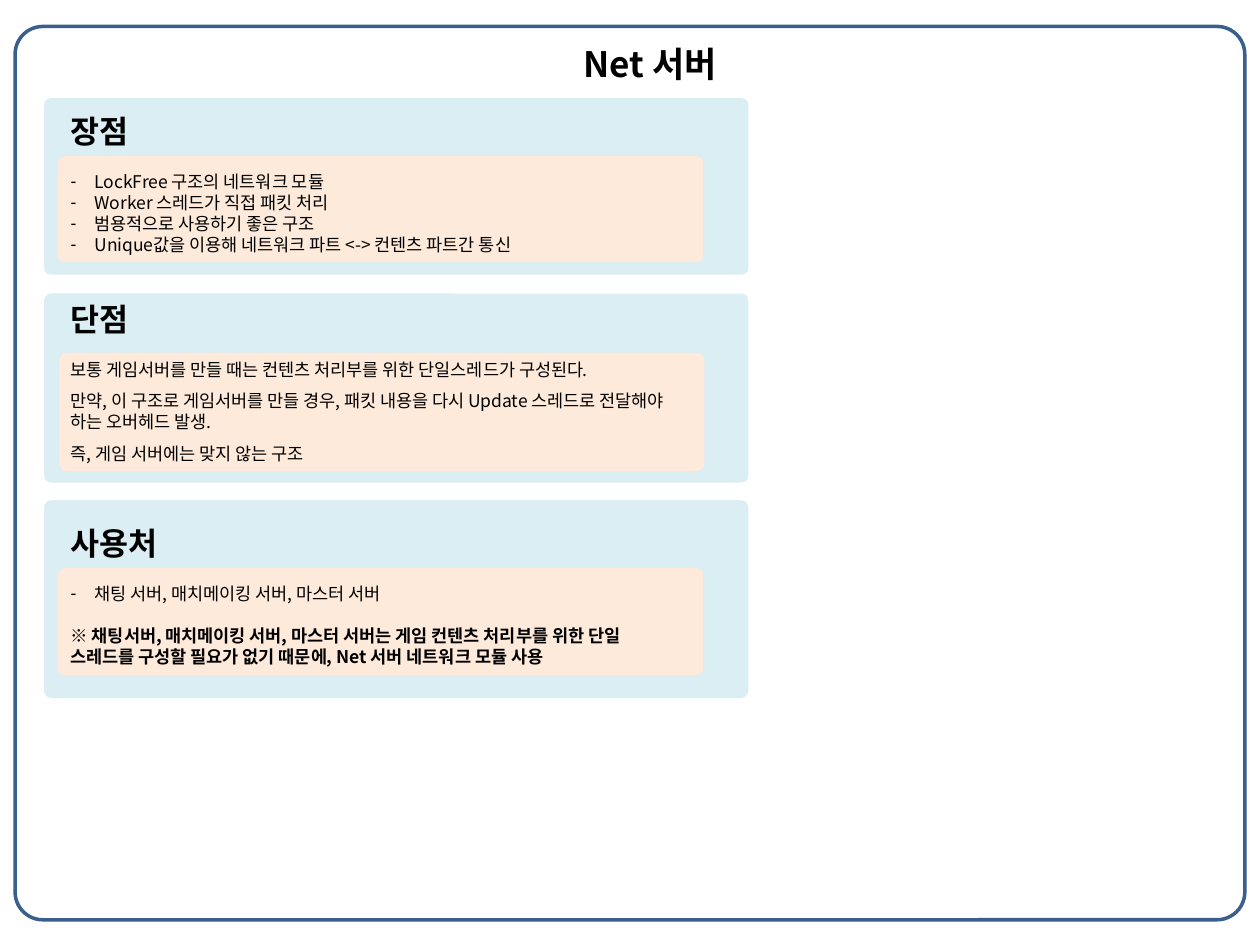
from lxml import etree
from pptx import Presentation
from pptx.dml.color import RGBColor
from pptx.enum.shapes import MSO_SHAPE
from pptx.enum.text import MSO_ANCHOR, MSO_AUTO_SIZE, PP_ALIGN
from pptx.oxml.ns import qn
from pptx.util import Inches, Pt

ROUNDED = MSO_SHAPE.ROUNDED_RECTANGLE
TOP = MSO_ANCHOR.TOP
LEFT = PP_ALIGN.LEFT
NO_AUTOFIT = MSO_AUTO_SIZE.NONE

FONT = "Noto Sans CJK KR"
BLACK = RGBColor(0x00, 0x00, 0x00)
PALE_BLUE = RGBColor(0xDB, 0xEE, 0xF4)
PALE_ORANGE = RGBColor(0xFD, 0xEA, 0xDA)
FRAME_BLUE = RGBColor(0x3A, 0x5F, 0x8C)

LINE_HEIGHT = 1.2
HEADING_SIZE = 18
BODY_SIZE = 10
BULLET_INDENT = Inches(0.19)
COMPARISON_LAYOUT = 4

# Each line: text, space before in points, bulleted, bold
SECTIONS = [
    {
        "heading": "장점",
        "card": (0.35, 0.78, 5.59, 1.4),
        "panel": (0.46, 1.24, 5.12, 0.84),
        "text": (0.46, 0.84, 5.01, 1.25),
        "lines": [
            ("LockFree 구조의 네트워크 모듈", 12, True, False),
            ("Worker 스레드가 직접 패킷 처리", 0, True, False),
            ("범용적으로 사용하기 좋은 구조", 0, True, False),
            ("Unique값을 이용해 네트워크 파트 <-> 컨텐츠 파트간 통신", 0, True, False),
        ],
    },
    {
        "heading": "단점",
        "card": (0.35, 2.33, 5.59, 1.5),
        "panel": (0.47, 2.8, 5.12, 0.94),
        "text": (0.46, 2.33, 5.01, 1.58),
        "lines": [
            ("보통 게임서버를 만들 때는 컨텐츠 처리부를 위한 단일스레드가 구성된다.",
             12, False, False),
            ("만약, 이 구조로 게임서버를 만들 경우, 패킷 내용을 다시 Update 스레드로 "
             "전달해야 하는 오버헤드 발생.", 6, False, False),
            ("즉, 게임 서버에는 맞지 않는 구조", 6, False, False),
        ],
    },
    {
        "heading": "사용처",
        "card": (0.35, 3.97, 5.59, 1.57),
        "panel": (0.46, 4.51, 5.12, 0.85),
        "text": (0.46, 4.11, 5.01, 1.25),
        "lines": [
            ("채팅 서버, 매치메이킹 서버, 마스터 서버", 12, True, False),
            ("※ 채팅서버, 매치메이킹 서버, 마스터 서버는 게임 컨텐츠 처리부를 위한 단일 "
             "스레드를 구성할 필요가 없기 때문에, Net 서버 네트워크 모듈 사용",
             12, False, True),
        ],
    },
]


def add_rounded_box(slide, box, corner, fill=None, line=None):
    shape = slide.shapes.add_shape(ROUNDED, *map(Inches, box))
    shape.shadow.inherit = False
    shape.adjustments[0] = corner
    if fill is None:
        shape.fill.background()
    else:
        shape.fill.solid()
        shape.fill.fore_color.rgb = fill
    if line is None:
        shape.line.fill.background()
    else:
        shape.line.color.rgb = line
        shape.line.width = Pt(2)


def place_placeholder(placeholder, box, wrap=True):
    """Move a placeholder to the front at the given box and return its text frame."""
    element = placeholder._element
    element.getparent().append(element)
    left, top, width, height = map(Inches, box)
    placeholder.left, placeholder.top = left, top
    placeholder.width, placeholder.height = width, height
    frame = placeholder.text_frame
    frame.auto_size = NO_AUTOFIT
    frame.word_wrap = wrap
    frame.vertical_anchor = TOP
    return frame


def set_bullet(paragraph, bulleted):
    properties = paragraph._p.get_or_add_pPr()
    indent = BULLET_INDENT if bulleted else 0
    properties.set("marL", str(indent))
    properties.set("indent", str(-indent))
    if bulleted:
        etree.SubElement(properties, qn("a:buChar")).set("char", "-")
    else:
        etree.SubElement(properties, qn("a:buNone"))


def write_paragraph(paragraph, text, size, bold, before=0, bulleted=False):
    set_bullet(paragraph, bulleted)
    paragraph.alignment = LEFT
    paragraph.line_spacing = Pt(size * LINE_HEIGHT)
    paragraph.space_before = Pt(before)
    paragraph.space_after = Pt(0)
    run = paragraph.add_run()
    run.text = text
    run.font.size = Pt(size)
    run.font.bold = bold
    run.font.color.rgb = BLACK
    run.font.name = FONT
    east_asian = etree.SubElement(run._r.get_or_add_rPr(), qn("a:ea"))
    east_asian.set("typeface", FONT)


def add_section(slide, section, placeholder):
    add_rounded_box(slide, section["card"], 0.037, PALE_BLUE)
    add_rounded_box(slide, section["panel"], 0.061, PALE_ORANGE)
    frame = place_placeholder(placeholder, section["text"])
    write_paragraph(frame.paragraphs[0], section["heading"], HEADING_SIZE, True)
    for text, before, bulleted, bold in section["lines"]:
        write_paragraph(frame.add_paragraph(), text, BODY_SIZE, bold, before, bulleted)


def main():
    presentation = Presentation()
    presentation.slide_width = Inches(10)
    presentation.slide_height = Inches(7.5)
    slide = presentation.slides.add_slide(presentation.slide_layouts[COMPARISON_LAYOUT])
    title, *bodies, unused = list(slide.placeholders)
    unused._element.getparent().remove(unused._element)

    title_frame = place_placeholder(title, (4.53, 0.29, 1.35, 0.44), wrap=False)
    write_paragraph(title_frame.paragraphs[0], "Net 서버", 20, True)
    for section, body in zip(SECTIONS, bodies):
        add_section(slide, section, body)
    add_rounded_box(slide, (0.12, 0.21, 9.76, 7.09), 0.031, line=FRAME_BLUE)
    presentation.save("out.pptx")


if __name__ == "__main__":
    main()
